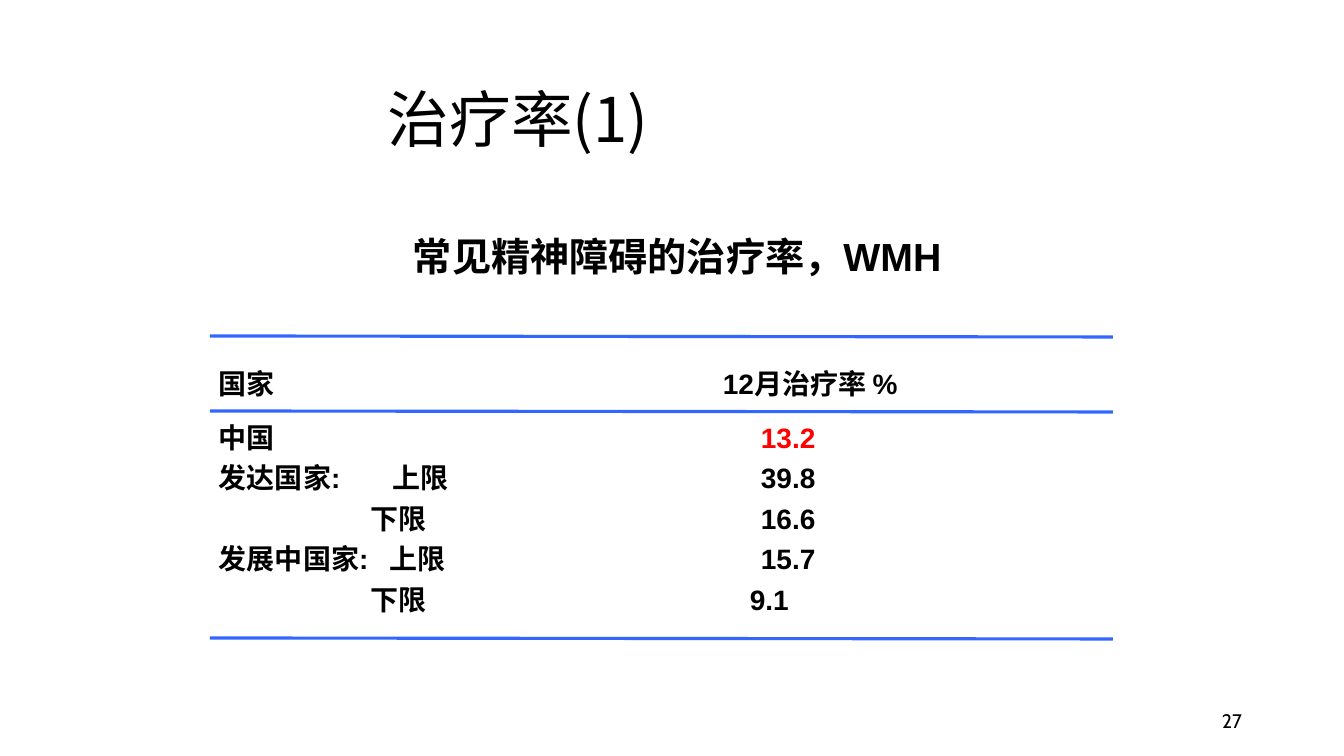
import pptx
import pptx.dml.color
import pptx.enum.shapes
import pptx.enum.text
import pptx.oxml.ns
import pptx.util
from lxml import etree

TITLE = "治疗率(1)"
SUBTITLE = "常见精神障碍的治疗率，WMH"
PAGE = "27"
HEADER = [[(0, "国家"), (504, "12月治疗率 %")]]
RATES = [
    [(0, "中国"), (542, "13.2")],
    [(0, "发达国家:"), (174, "上限"), (542, "39.8")],
    [(0, ""), (152, "下限"), (542, "16.6")],
    [(0, "发展中国家:"), (171, "上限"), (542, "15.7")],
    [(0, ""), (152, "下限"), (531, "9.1")],
]
HIGHLIGHT = "13.2"
RULE_TOPS = [336, 411, 638]
RULE_LEFT, RULE_RIGHT = 210, 1113

THEME = {
    "text": "000000", "highlight": "FF0000", "rule": "3366FF", "rule_width": 2.25,
    "title": ("Noto Sans CJK SC", 44, False),
    "subtitle": ("Arial", 28, True),
    "rates": ("Arial", 20, True),
    "page": ("Cabin", 14, False),
    "row_gap": 5,
}

ANCHOR = pptx.enum.text.MSO_ANCHOR
ALIGN = pptx.enum.text.PP_ALIGN


def px(length):
    return round(length * 914400 / 100.8)


def color(key):
    return pptx.dml.color.RGBColor.from_string(THEME[key])


def add_tabs(paragraph, stops):
    tabs = etree.SubElement(paragraph._p.get_or_add_pPr(), pptx.oxml.ns.qn("a:tabLst"))
    for stop in stops:
        etree.SubElement(tabs, pptx.oxml.ns.qn("a:tab"), pos=str(px(stop)), algn="l")


def add_text(slide, box, rows, style, anchor=ANCHOR.MIDDLE, align=ALIGN.LEFT, line_spacing=None):
    frame = slide.shapes.add_textbox(*map(px, box)).text_frame
    frame.word_wrap = True
    frame.vertical_anchor = anchor
    name, size, bold = THEME[style]
    for index, cells in enumerate(rows):
        paragraph = frame.add_paragraph() if index else frame.paragraphs[0]
        if len(cells) > 1:
            add_tabs(paragraph, [left for left, _ in cells[1:]])
        paragraph.alignment = align
        if line_spacing:
            paragraph.line_spacing = line_spacing
        if index:
            paragraph.space_before = pptx.util.Pt(THEME["row_gap"])
        paragraph.font.name = name
        paragraph.font.size = pptx.util.Pt(size)
        paragraph.font.bold = bold
        paragraph.font.color.rgb = color("text")
        for column, (_, words) in enumerate(cells):
            run = paragraph.add_run()
            run.text = "\t" + words if column else words
            if words == HIGHLIGHT:
                run.font.color.rgb = color("highlight")


def add_rule(slide, top):
    rule = slide.shapes.add_connector(
        pptx.enum.shapes.MSO_CONNECTOR.STRAIGHT,
        px(RULE_LEFT), px(top), px(RULE_RIGHT), px(top + 1))
    rule.line.color.rgb = color("rule")
    rule.line.width = pptx.util.Pt(THEME["rule_width"])
    etree.SubElement(rule._element.spPr, pptx.oxml.ns.qn("a:effectLst"))


def main():
    deck = pptx.Presentation()
    deck.slide_width, deck.slide_height = px(1344), px(756)
    slide = deck.slides.add_slide(deck.slide_layouts[6])
    add_text(slide, (950, 701, 302, 40), [[(0, PAGE)]], "page", align=ALIGN.RIGHT)
    add_text(slide, (378, 61, 747, 123), [[(0, TITLE)]], "title", line_spacing=0.9)
    add_text(slide, (403, 227, 578, 57), [[(0, SUBTITLE)]], "subtitle", anchor=ANCHOR.TOP)
    add_text(slide, (209, 320, 902, 126), HEADER, "rates")
    add_text(slide, (209, 359, 902, 318), RATES, "rates")
    for top in RULE_TOPS:
        add_rule(slide, top)
    deck.save("out.pptx")


if __name__ == "__main__":
    main()
